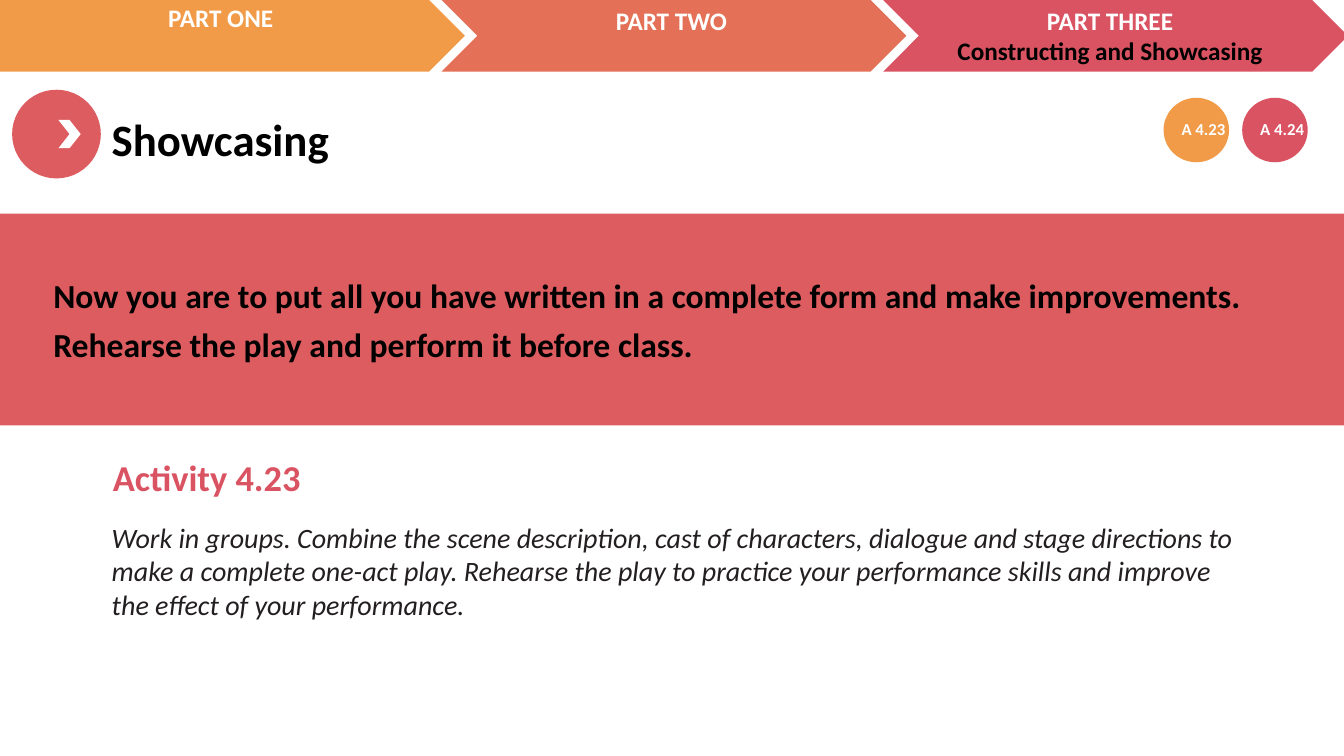
from dataclasses import dataclass

from pptx import Presentation
from pptx.dml.color import RGBColor
from pptx.enum.shapes import MSO_SHAPE
from pptx.enum.text import PP_ALIGN
from pptx.util import Emu, Pt

PX = 9144  # 100 px to the inch
CHEVRON, OVAL, ROUNDED = MSO_SHAPE.CHEVRON, MSO_SHAPE.OVAL, MSO_SHAPE.ROUNDED_RECTANGLE
LEFT, CENTER = PP_ALIGN.LEFT, PP_ALIGN.CENTER
FONT = "Calibri"
COLORS = {
    "white": "FFFFFF",
    "black": "000000",
    "ink": "231F20",
    "coral": "DD5C60",
    "orange": "F19B48",
    "salmon": "E47057",
    "rose": "DA5362",
}
BOLD = {"bold": True}
ITALIC = {"italic": True}


@dataclass
class Block:
    kind: MSO_SHAPE
    box: tuple[int, int, int, int]
    color: str


@dataclass
class Label:
    box: tuple[int, int, int, int]
    lines: list[tuple[str, str]]  # text, colour name
    size: int
    style: dict[str, bool]
    align: PP_ALIGN = LEFT
    spacing: float = 1.0


@dataclass
class Badge:
    left: int
    text: str
    color: str


BLOCKS = [
    # Message band and title marker
    Block(ROUNDED, (-45, 212, 1426, 210), "coral"),
    Block(OVAL, (12, 89, 88, 88), "coral"),
    Block(CHEVRON, (58, 119, 22, 28), "white"),
    # Part navigation
    Block(CHEVRON, (438, 0, 461, 71), "salmon"),
    Block(CHEVRON, (876, 0, 461, 71), "rose"),
    Block(CHEVRON, (-61, 0, 522, 71), "orange"),
]

LABELS = [
    Label((101, 106, 485, 64), [("Showcasing", "black")], 32, BOLD),
    # Part names
    Label((-9, -3, 456, 40), [("PART ONE", "white")], 18, BOLD, CENTER),
    Label((438, 0, 456, 71), [("PART TWO", "white")], 18, BOLD, CENTER),
    Label((873, 0, 456, 71),
          [("PART THREE", "white"), ("Constructing and Showcasing", "black")],
          18, BOLD, CENTER),
    # Message and activity
    Label((43, 260, 1248, 104),
          [("Now you are to put all you have written in a complete form and make "
            "improvements. Rehearse the play and perform it before class.", "black")],
          24, BOLD, spacing=1.2),
    Label((102, 447, 1191, 54), [("Activity 4.23", "rose")], 26, BOLD),
    Label((101, 511, 1181, 111),
          [("Work in groups. Combine the scene description, cast of characters, "
            "dialogue and stage directions to", "ink"),
           ("make a complete one-act play. Rehearse the play to practice your "
            "performance skills and improve", "ink"),
           ("the effect of your performance.", "ink")],
          20, ITALIC),
]

BADGES = [Badge(1154, "A 4.23", "orange"), Badge(1232, "A 4.24", "rose")]


def emu(box: tuple[int, int, int, int]) -> list[Emu]:
    return [Emu(v * PX) for v in box]


def rgb(name: str) -> RGBColor:
    return RGBColor.from_string(COLORS[name])


def draw_block(shapes, block: Block) -> None:
    sp = shapes.add_shape(block.kind, *emu(block.box))
    sp.shadow.inherit = False
    sp.fill.solid()
    sp.fill.fore_color.rgb = rgb(block.color)
    sp.line.fill.background()
    if block.kind == ROUNDED:
        sp.adjustments[0] = 0.08


def draw_label(shapes, label: Label) -> None:
    tf = shapes.add_textbox(*emu(label.box)).text_frame
    tf.word_wrap = True
    font = {"name": FONT, "size": Pt(label.size), **label.style}
    for i, (text, color) in enumerate(label.lines):
        p = tf.add_paragraph() if i else tf.paragraphs[0]
        p.alignment = label.align
        p.line_spacing = label.spacing
        r = p.add_run()
        r.text = text
        for key, value in font.items():
            setattr(r.font, key, value)
        r.font.color.rgb = rgb(color)


def draw_badge(shapes, badge: Badge) -> None:
    group = shapes.add_group_shape().shapes
    draw_block(group, Block(OVAL, (badge.left, 97, 65, 64), badge.color))
    draw_label(group, Label((badge.left + 8, 113, 79, 30),
                            [(badge.text, "white")], 12, BOLD))


def main() -> None:
    prs = Presentation()
    prs.slide_width, prs.slide_height = Emu(1333 * PX), Emu(750 * PX)
    s = prs.slides.add_slide(prs.slide_layouts[6])
    for block in BLOCKS:
        draw_block(s.shapes, block)
    for label in LABELS:
        draw_label(s.shapes, label)
    for badge in BADGES:
        draw_badge(s.shapes, badge)
    prs.save("out.pptx")


if __name__ == "__main__":
    main()
